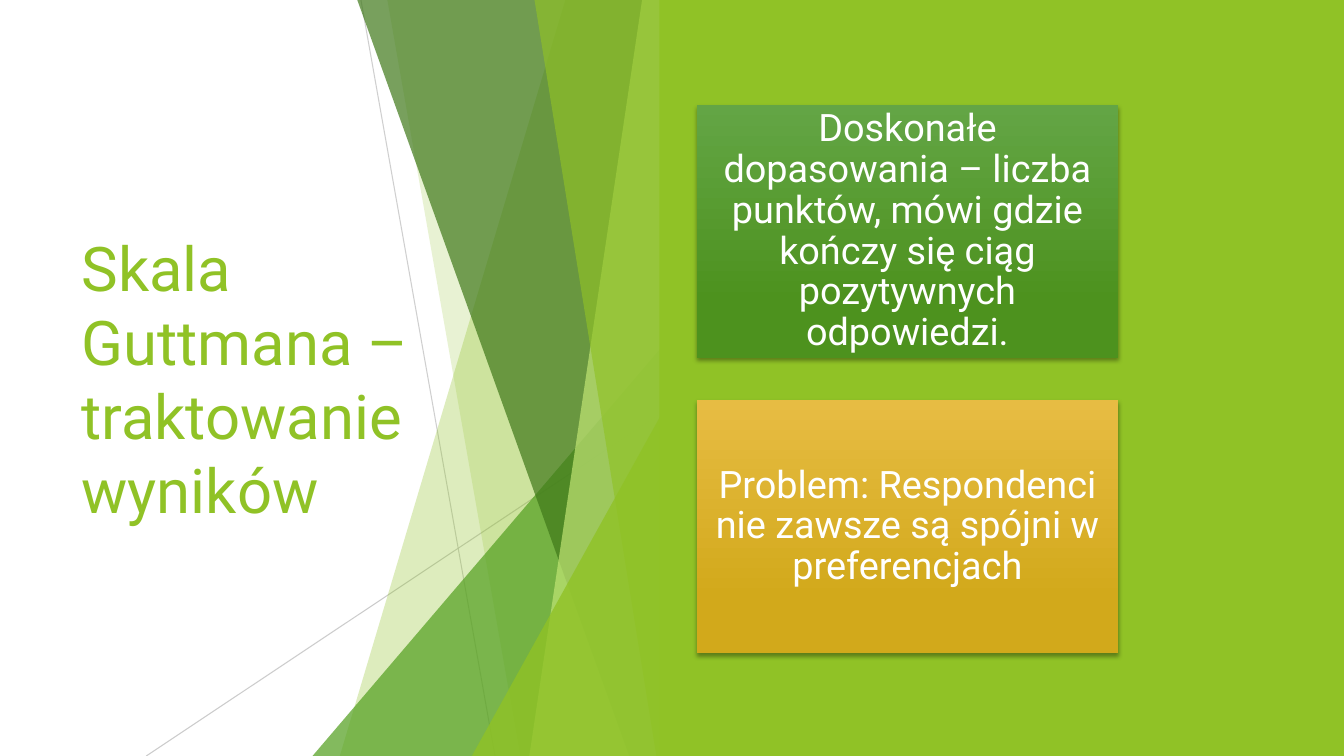
from dataclasses import dataclass

from lxml.etree import SubElement
from pptx import Presentation
from pptx.dml.color import RGBColor as RGB
from pptx.enum.shapes import MSO_CONNECTOR as CONN, MSO_SHAPE as SHAPE
from pptx.enum.text import MSO_ANCHOR as ANCHOR, PP_ALIGN as ALIGN
from pptx.oxml.ns import qn
from pptx.util import Inches, Pt

FONT = "Roboto"
COLORS = {
    "white": "FFFFFF",
    "black": "000000",
    "gray": "BFBFBF",
    "lime": "90C226",
    "green": "54A021",
    "forest": "3F7819",
    "pale": "C0E474",
    "green_top": "63A545",
    "green_base": "4D921E",
    "gold_top": "E7BC43",
    "gold_base": "D2A91B",
}


@dataclass
class Ray:
    start: tuple[float, float]
    end: tuple[float, float]
    alpha: int


@dataclass
class Facet:
    points: list[tuple[float, float]]
    color: str
    alpha: int


@dataclass
class Corner:
    left: float
    top: float
    color: str
    alpha: int


@dataclass
class Card:
    top: float
    text: str
    colors: tuple[str, str]


EDGE, TOP, BOTTOM = 6.66, -0.01, 7.5


def facet(top_x: float, bottom_x: float, color: str, alpha: int) -> Facet:
    points = [(top_x, TOP), (EDGE, TOP), (EDGE, BOTTOM), (bottom_x, BOTTOM)]
    return Facet(points, color, alpha)


RAYS = [
    Ray((3.58, 0), (4.91, BOTTOM), 75),
    Ray((EDGE, 4.03), (1.45, BOTTOM), 80),
]
PIECES = [
    facet(5.61, 3.37, "lime", 30),
    facet(3.84, 5.16, "lime", 20),
    Corner(3.1, 3.33, "green", 72),
    facet(3.54, 6.24, "forest", 70),
    facet(6.37, 5.25, "pale", 70),
    facet(5.3, 6.51, "lime", 65),
    Corner(4.68, 3.93, "lime", 80),
]
CARDS = [
    Card(1.04, "Doskonałe dopasowania – liczba punktów, mówi gdzie kończy się "
               "ciąg pozytywnych odpowiedzi.", ("green_top", "green_base")),
    Card(3.97, "Problem: Respondenci nie zawsze są spójni w preferencjach",
         ("gold_top", "gold_base")),
]


def rgb(name: str) -> RGB:
    return RGB.from_string(COLORS[name])


def set_alpha(sp, percent: int) -> None:
    for color in sp._element.spPr.iter(qn("a:srgbClr")):
        SubElement(color, qn("a:alpha"), val=str(percent * 1000))


def paint(sp, color: str, alpha: int = 100) -> None:
    sp.shadow.inherit = False
    sp.fill.solid()
    sp.fill.fore_color.rgb = rgb(color)
    sp.line.fill.background()
    if alpha < 100:
        set_alpha(sp, alpha)


def draw_ray(s, ray: Ray) -> None:
    line = s.shapes.add_connector(
        CONN.STRAIGHT, *(Inches(v) for v in ray.start + ray.end))
    line.line.color.rgb = rgb("gray")
    line.line.width = Pt(0.75)
    set_alpha(line, ray.alpha)
    SubElement(line._element.spPr, qn("a:effectLst"))


def draw_facet(s, piece: Facet) -> None:
    first, *rest = [(Inches(x), Inches(y)) for x, y in piece.points]
    builder = s.shapes.build_freeform(*first)
    builder.add_line_segments(rest, close=True)
    paint(builder.convert_to_shape(), piece.color, piece.alpha)


def draw_corner(s, piece: Corner) -> None:
    sp = s.shapes.add_shape(
        SHAPE.ISOSCELES_TRIANGLE, Inches(piece.left), Inches(piece.top),
        Inches(EDGE - piece.left), Inches(BOTTOM - piece.top))
    sp.adjustments[0] = 1
    paint(sp, piece.color, piece.alpha)


def write(sp, text: str, size: int, color: str, align: ALIGN):
    tf = sp.text_frame
    tf.word_wrap = True
    tf.vertical_anchor = ANCHOR.MIDDLE
    p = tf.paragraphs[0]
    p.alignment = align
    r = p.add_run()
    r.text = text
    r.font.name = FONT
    r.font.size = Pt(size)
    r.font.color.rgb = rgb(color)
    return tf


def add_shadow(sp) -> None:
    sp.shadow.inherit = False
    effects = sp._element.spPr.find(qn("a:effectLst"))
    shadow = SubElement(effects, qn("a:outerShdw"), blurRad=str(Pt(3)),
                        dist=str(Pt(2)), dir="5400000", rotWithShape="0")
    color = SubElement(shadow, qn("a:srgbClr"), val=COLORS["black"])
    SubElement(color, qn("a:alpha"), val="35000")


def draw_card(s, card: Card) -> None:
    sp = s.shapes.add_shape(SHAPE.RECTANGLE, Inches(6.91), Inches(card.top),
                            Inches(4.18), Inches(2.51))
    sp.fill.gradient()
    sp.fill.gradient_angle = 270
    for stop, position, color in zip(sp.fill.gradient_stops, (0, 0.78), card.colors):
        stop.position = position
        stop.color.rgb = rgb(color)
    sp.line.fill.background()
    add_shadow(sp)
    tf = write(sp, card.text, 27, "white", ALIGN.CENTER)
    tf.margin_left = tf.margin_right = Inches(0.11)
    tf.margin_top = tf.margin_bottom = Inches(0.11)
    tf.paragraphs[0].line_spacing = 0.9


def main() -> None:
    prs = Presentation()
    prs.slide_width, prs.slide_height = Inches(13.33), Inches(7.5)
    s = prs.slides.add_slide(prs.slide_layouts[6])

    title = s.shapes.add_textbox(Inches(0.71), Inches(1.51), Inches(3.88), Inches(4.48))
    write(title, "Skala Guttmana – traktowanie wyników", 44, "lime", ALIGN.LEFT)

    for ray in RAYS:
        draw_ray(s, ray)
    for piece in PIECES:
        if isinstance(piece, Facet):
            draw_facet(s, piece)
        else:
            draw_corner(s, piece)

    panel = s.shapes.add_shape(SHAPE.RECTANGLE, Inches(6.54), 0, Inches(6.79), Inches(7.5))
    paint(panel, "lime")
    for card in CARDS:
        draw_card(s, card)

    prs.save("out.pptx")


if __name__ == "__main__":
    main()
